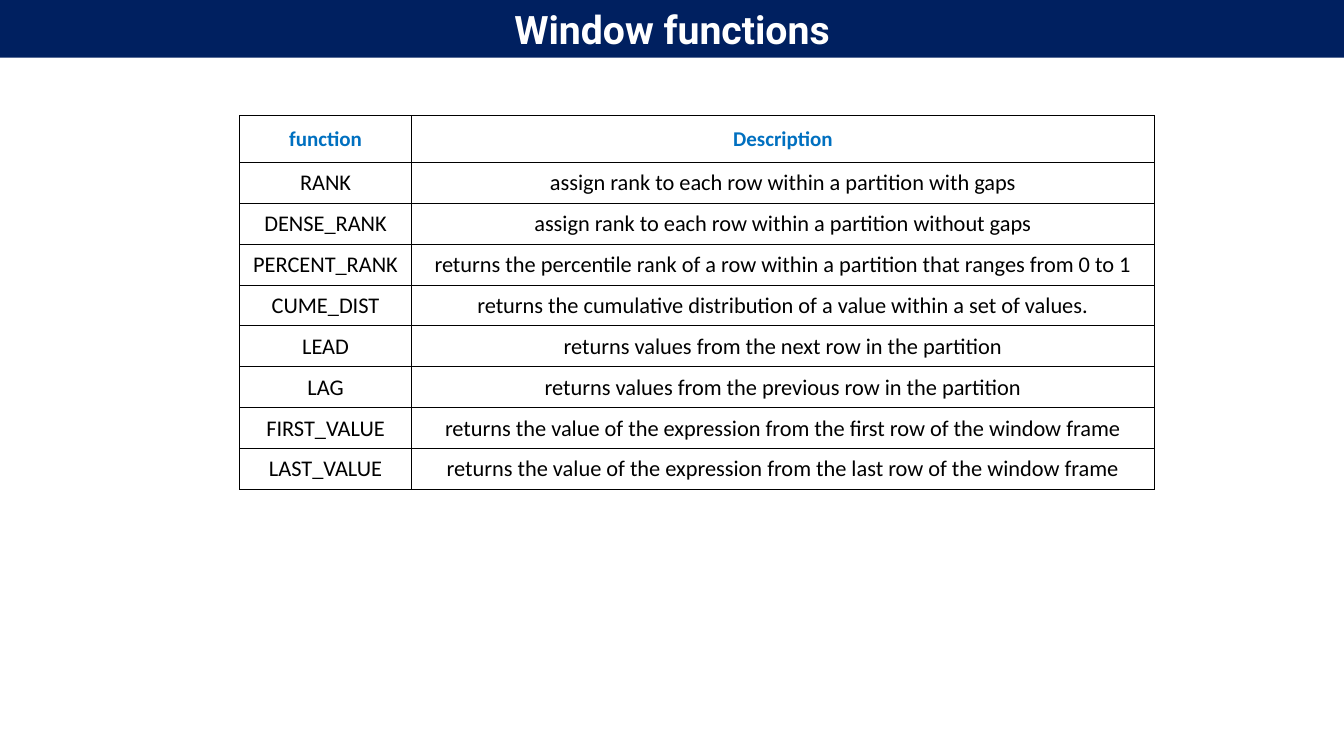
from lxml import etree
from pptx import Presentation
from pptx import util as u
from pptx.dml.color import RGBColor
from pptx.enum import text
from pptx.oxml import ns

NAVY = RGBColor(0x00, 0x20, 0x60)
BLUE = RGBColor(0x00, 0x70, 0xC0)
BLACK = RGBColor(0x00, 0x00, 0x00)
WHITE = RGBColor(0xFF, 0xFF, 0xFF)

SLIDE_WIDTH = u.Cm(33.87)
SLIDE_HEIGHT = u.Cm(19.05)

HEADINGS = ("function", "Description")
FUNCTIONS = [
    ("RANK", "assign rank to each row within a partition with gaps"),
    ("DENSE_RANK", "assign rank to each row within a partition without gaps"),
    ("PERCENT_RANK", "returns the percentile rank of a row within a partition that ranges from 0 to 1"),
    ("CUME_DIST", "returns the cumulative distribution of a value within a set of values."),
    ("LEAD", "returns values from the next row in the partition"),
    ("LAG", "returns values from the previous row in the partition"),
    ("FIRST_VALUE", "returns the value of the expression from the first row of the window frame"),
    ("LAST_VALUE", "returns the value of the expression from the last row of the window frame"),
]


class SlideBuilder:
    title_font = "Roboto"
    body_font = "Calibri"
    border_width = u.Pt(0.5)

    def __init__(self, slide):
        self.slide = slide

    def add_text(self, paragraph, words, font_name, size, color, bold):
        paragraph.alignment = text.PP_ALIGN.CENTER
        run = paragraph.add_run()
        run.text = words
        run.font.name = font_name
        run.font.size = u.Pt(size)
        run.font.color.rgb = color
        run.font.bold = bold

    def title_bar(self, words, height):
        title = self.slide.shapes.title
        title.left, title.top = u.Cm(0), u.Cm(0)
        title.width, title.height = SLIDE_WIDTH, height
        title.fill.solid()
        title.fill.fore_color.rgb = NAVY
        frame = title.text_frame
        frame.auto_size = text.MSO_AUTO_SIZE.NONE
        frame.vertical_anchor = text.MSO_ANCHOR.MIDDLE
        self.add_text(frame.paragraphs[0], words, self.title_font, 28, WHITE, True)

    def border(self, cell):
        properties = cell._tc.get_or_add_tcPr()
        for side in ("a:lnL", "a:lnR", "a:lnT", "a:lnB"):
            line = etree.SubElement(properties, ns.qn(side), w=str(self.border_width))
            fill = etree.SubElement(line, ns.qn("a:solidFill"))
            etree.SubElement(fill, ns.qn("a:srgbClr"), val=str(BLACK))

    def cell(self, cell, words, size, color, bold):
        cell.margin_left = cell.margin_right = cell.margin_top = u.Cm(0.02)
        cell.margin_bottom = u.Cm(0)
        cell.vertical_anchor = text.MSO_ANCHOR.MIDDLE
        self.border(cell)
        cell.fill.background()
        self.add_text(cell.text_frame.paragraphs[0], words, self.body_font, size, color, bold)

    def table(self, rows, left, top, column_widths, header_height, row_height):
        heights = [header_height] + [row_height] * (len(rows) - 1)
        table = self.slide.shapes.add_table(
            len(rows), len(column_widths), left, top, sum(column_widths), sum(heights)
        ).table
        table.first_row = table.horz_banding = False
        for column, width in zip(table.columns, column_widths):
            column.width = width
        for index, (row, height) in enumerate(zip(table.rows, heights)):
            row.height = height
            style = (15, BLUE, True) if index == 0 else (16, BLACK, False)
            for cell, words in zip(row.cells, rows[index]):
                self.cell(cell, words, *style)


def main():
    presentation = Presentation()
    presentation.slide_width = SLIDE_WIDTH
    presentation.slide_height = SLIDE_HEIGHT
    builder = SlideBuilder(presentation.slides.add_slide(presentation.slide_layouts[5]))

    # Title bar
    builder.title_bar("Window functions", u.Cm(1.45))

    # Function reference table
    builder.table(
        [HEADINGS] + FUNCTIONS,
        left=u.Cm(6.04),
        top=u.Cm(2.91),
        column_widths=[u.Cm(4.33), u.Cm(18.72)],
        header_height=u.Cm(1.18),
        row_height=u.Cm(1.03),
    )

    presentation.save("out.pptx")


if __name__ == "__main__":
    main()
